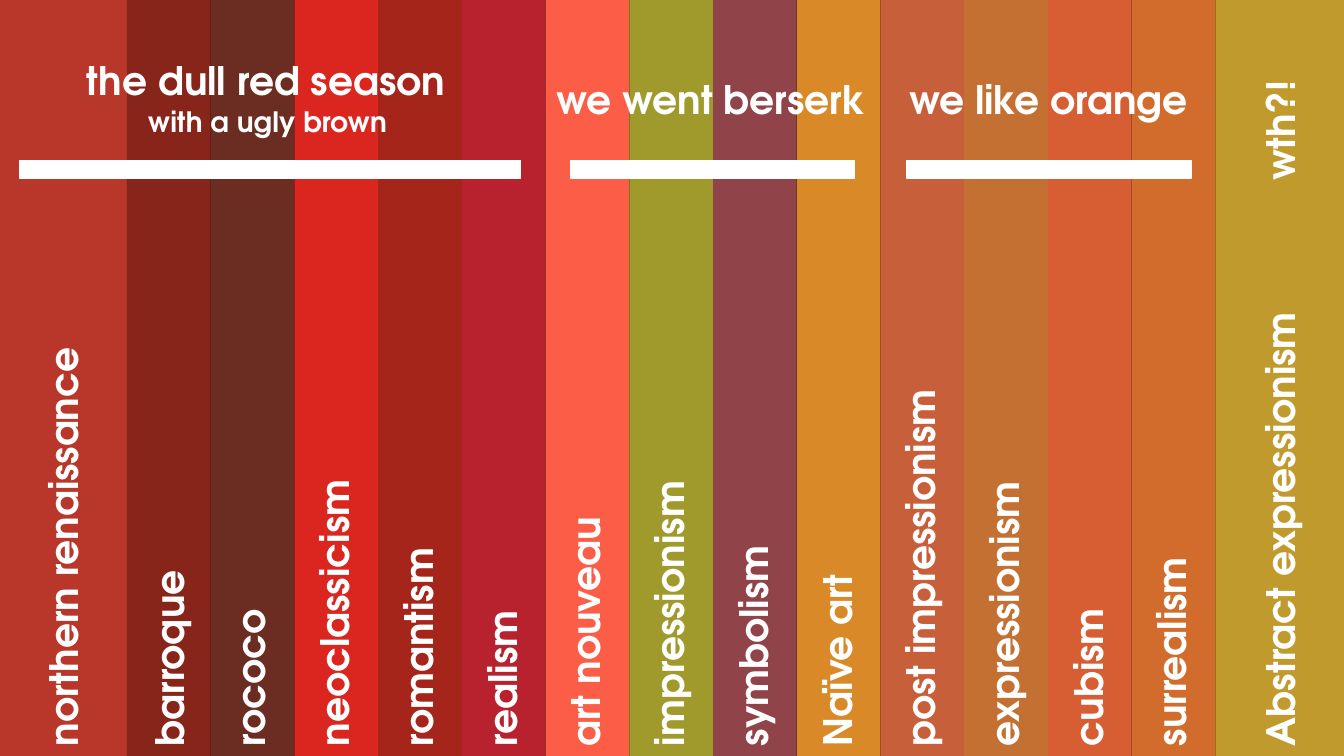
from dataclasses import dataclass

from pptx import Presentation
from pptx.dml.color import RGBColor as Rgb
from pptx.enum.shapes import MSO_SHAPE as Kind
from pptx.enum.text import MSO_ANCHOR as Anchor, MSO_AUTO_SIZE as Fit, PP_ALIGN as Align
from pptx.shapes.autoshape import Shape
from pptx.slide import Slide
from pptx.util import Cm, Pt


@dataclass(frozen=True)
class Theme:
    font: str = "TeX Gyre Adventor"
    white: str = "FFFFFF"
    black: str = "000000"
    large: int = 28
    small: int = 20


@dataclass(frozen=True)
class Stripe:
    name: str
    fill: str
    width: float = 2.11
    shift: float = -0.05   # label offset from the stripe's middle
    length: float = 11.46  # label box length


@dataclass(frozen=True)
class Bar:
    left: float
    width: float


@dataclass(frozen=True)
class Head:
    text: str
    left: float
    top: float
    width: float
    size: int = Theme.large


WIDE, HIGH = 33.87, 19.05
LINE = {Theme.large: 1.45, Theme.small: 1.12}
BAR_TOP, BAR_HIGH = 4.04, 0.46
LAST = 3.24

STRIPES = [
    Stripe("northern renaissance", "B9372A", 3.2, 0),
    Stripe("barroque", "87251A", shift=0),
    Stripe("rococo", "6B2D22"),
    Stripe("neoclassicism", "DB261F"),
    Stripe("romantism", "A5251A"),
    Stripe("realism", "B8222E"),
    Stripe("art nouveau", "FC5D47"),
    Stripe("impressionism", "A09A2C"),
    Stripe("symbolism", "904349"),
    Stripe("Naïve art", "D98928"),
    Stripe("post impressionism", "C75F3A"),
    Stripe("expressionism", "C47032"),
    Stripe("cubism", "D75E33"),
    Stripe("surrealism", "D26C2C"),
    Stripe("Abstract expressionism", "C09A2D", LAST, 0, 14.53),
]
BARS = [Bar(0.5, 12.62), Bar(14.38, 7.16), Bar(22.86, 7.16)]
TITLE = Head("the dull red season", 1.93, 1.3, 9.68)
HEADS = [
    Head("with a ugly brown", 3.48, 2.51, 6.58, Theme.small),
    Head("we went berserk", 13.77, 1.78, 8.38),
    Head("we like orange", 22.66, 1.78, 8.38),
]


def draw_rect(slide: Slide, left: float, top: float, width: float, height: float,
              fill: str) -> Shape:
    rect = slide.shapes.add_shape(Kind.RECTANGLE, Cm(left), Cm(top), Cm(width), Cm(height))
    rect.shadow.inherit = False
    rect.fill.solid()
    rect.fill.fore_color.rgb = Rgb.from_string(fill)
    rect.line.fill.background()
    return rect


def set_text(shape: Shape, text: str, size: int) -> None:
    frame = shape.text_frame
    frame.text = text
    look = {"word_wrap": True, "auto_size": Fit.SHAPE_TO_FIT_TEXT,
            "vertical_anchor": Anchor.TOP}
    for key, value in look.items():
        setattr(frame, key, value)
    para = frame.paragraphs[0]
    para.alignment = Align.LEFT
    font = para.runs[0].font
    for key, value in {"name": Theme.font, "size": Pt(size), "bold": True}.items():
        setattr(font, key, value)
    font.color.rgb = Rgb.from_string(Theme.white)


def draw_label(slide: Slide, text: str, mid: float, foot: float, length: float) -> None:
    """Write text upwards from foot, centred across on mid."""
    high = LINE[Theme.large]
    box = slide.shapes.add_textbox(Cm(mid - length / 2), Cm(foot - (length + high) / 2),
                                   Cm(length), Cm(high))
    box.rotation = 270
    set_text(box, text, Theme.large)


def draw_head(slide: Slide, head: Head) -> None:
    box = slide.shapes.add_textbox(Cm(head.left), Cm(head.top), Cm(head.width),
                                   Cm(LINE[head.size]))
    set_text(box, head.text, head.size)


def draw_title(slide: Slide, head: Head) -> None:
    """Fill the title placeholder and bring it in front of the stripes."""
    title = slide.shapes.title
    place = {"left": head.left, "top": head.top, "width": head.width,
             "height": LINE[head.size]}
    for key, value in place.items():
        setattr(title, key, Cm(value))
    set_text(title, head.text, head.size)
    slide.shapes._spTree.append(title._element)


def draw_stripes(slide: Slide) -> None:
    left = 0.0
    for stripe in STRIPES:
        draw_rect(slide, left, 0, stripe.width, HIGH, stripe.fill)
        mid = left + stripe.width / 2 + stripe.shift
        draw_label(slide, stripe.name, mid, HIGH, stripe.length)
        left += stripe.width


def draw_bars(slide: Slide) -> None:
    for bar in BARS:
        rect = draw_rect(slide, bar.left, BAR_TOP, bar.width, BAR_HIGH, Theme.white)
        rect.line.color.rgb = Rgb.from_string(Theme.white)
        rect.line.width = Pt(1)


def main() -> None:
    deck = Presentation()
    deck.slide_width, deck.slide_height = Cm(WIDE), Cm(HIGH)
    slide = deck.slides.add_slide(deck.slide_layouts[5])
    back = slide.background.fill
    back.solid()
    back.fore_color.rgb = Rgb.from_string(Theme.black)
    draw_stripes(slide)
    draw_bars(slide)
    draw_title(slide, TITLE)
    for head in HEADS:
        draw_head(slide, head)
    draw_label(slide, "wth?!", WIDE - LAST / 2, 4.8, 3.07)
    deck.save("out.pptx")


if __name__ == "__main__":
    main()
